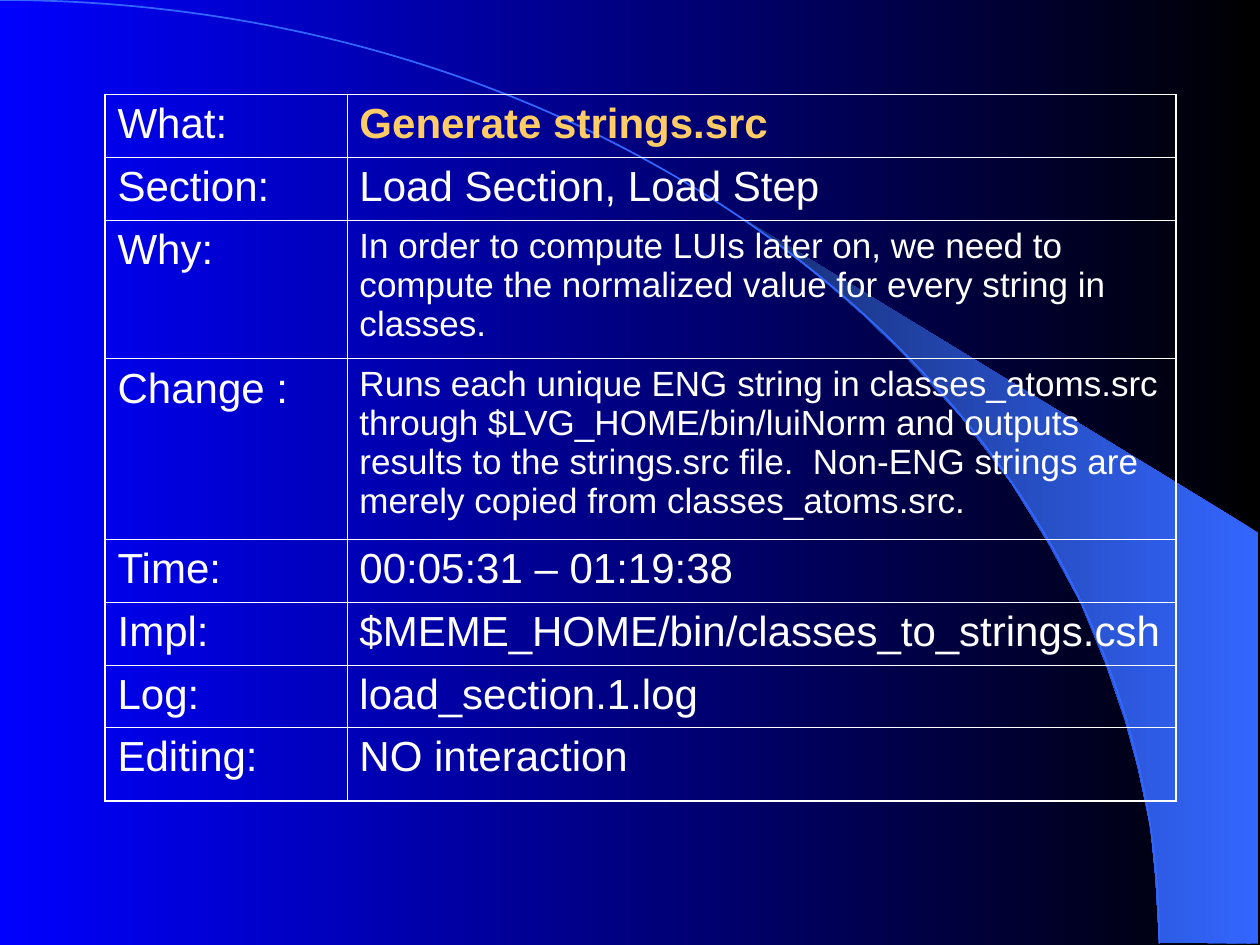
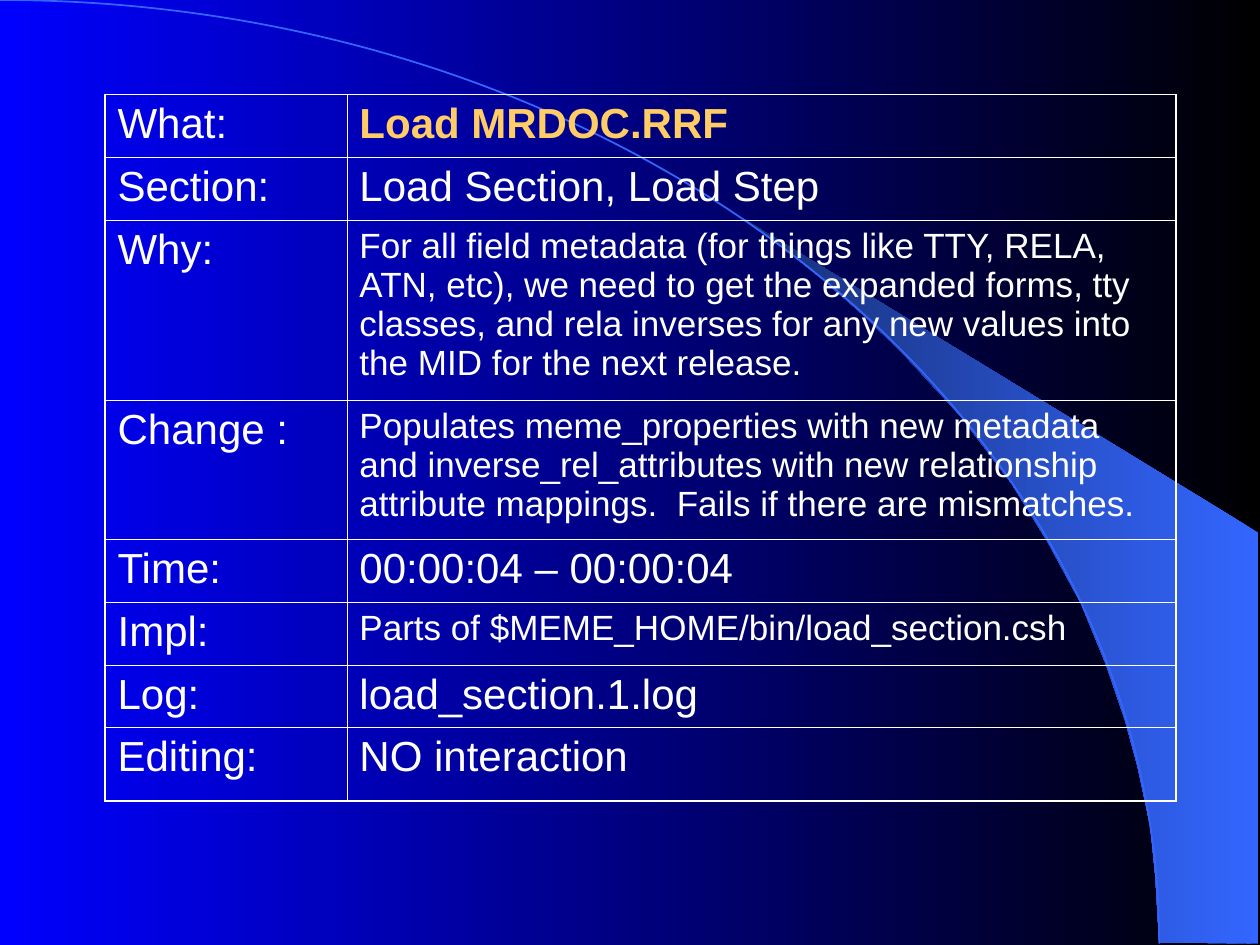
from dataclasses import dataclass

from lxml.etree import SubElement
from pptx import Presentation
from pptx.dml.color import RGBColor
from pptx.dml.fill import FillFormat
from pptx.oxml.ns import qn
from pptx.shapes.autoshape import Shape
from pptx.slide import Slide, SlideMaster
from pptx.table import _Cell
from pptx.util import Pt

Point = tuple[float, float]

COLOURS = {
    "night": "000000",
    "blue": "0000FF",
    "beam": "3366FF",
    "beam_shade": "172F75",
    "text": "FFFFFF",
    "highlight": "FFCC66",
    "border": "FFFFFF",
}
FONT = "Arial"
PAGE_WIDTH, PAGE_HEIGHT = 720, 540
ARC_WIDTH, ARC_HEIGHT = 662.4, 539.28
ARC_CURVE = [(365.76, 0), (ARC_WIDTH, 241.2), (ARC_WIDTH, ARC_HEIGHT)]
BEAM = [
    (662.4, 538.56), (719.28, 539.28), (719.28, 304.56), (424.08, 124.56),
    (449.28, 143.28), (470.16, 159.84), (493.2, 180), (515.52, 201.6),
    (548.64, 237.6), (578.16, 276.48), (599.04, 310.32), (617.76, 344.88),
    (632.16, 380.16), (642.96, 411.84), (650.16, 438.48), (657.36, 472.32),
    (660.24, 501.12),
]
TABLE_LEFT, TABLE_TOP = 60, 54
COLUMN_WIDTHS = (138.24, 473.76)
LABEL_SIZE = 24
DETAIL_SIZE = 20
OUTER_BORDER, INNER_BORDER = 1.08, 0.45
ROW = 35.9
LAST_ROW = 41.76
THREE_LINES = 79.2
FOUR_LINES = 103.2


@dataclass
class Entry:
    label: str
    text: str
    size: int = LABEL_SIZE
    height: float = ROW
    colour: str = "text"
    bold: bool = False


def rgb(name: str) -> RGBColor:
    return RGBColor.from_string(COLOURS[name])


def fill_gradient(fill: FillFormat, right: str, left: str) -> None:
    fill.gradient()
    fill.gradient_angle = 180
    for stop, name in zip(fill.gradient_stops, (right, left)):
        stop.color.rgb = rgb(name)


def outline(page: Slide, points: list[Point]) -> Shape:
    corners = [(Pt(left), Pt(top)) for left, top in points]
    builder = page.shapes.build_freeform(*corners[0])
    builder.add_line_segments(corners[1:], close=True)
    return builder.convert_to_shape()


def draw_arc(page: Slide) -> Shape:
    width, height = 2 * ARC_WIDTH, 2 * ARC_HEIGHT
    shape = outline(page, [(-ARC_WIDTH, 0), (ARC_WIDTH, 0), (ARC_WIDTH, height), (-ARC_WIDTH, height)])
    contours = next(shape.element.iter(qn("a:pathLst")))
    contours.clear()
    size = {"w": str(Pt(width)), "h": str(Pt(height))}
    steps = [("moveTo", [(0, 0)]), ("cubicBezTo", ARC_CURVE)]
    sector = [*steps, ("lnTo", [(0, ARC_HEIGHT)]), ("close", [])]
    for options, commands in (({"stroke": "0"}, sector), ({"fill": "none"}, steps)):
        contour = SubElement(contours, qn("a:path"), **size, **options)
        for command, points in commands:
            segment = SubElement(contour, qn(f"a:{command}"))
            for left, top in points:
                SubElement(segment, qn("a:pt"), x=str(Pt(left + ARC_WIDTH)), y=str(Pt(top)))
    return shape


def decorate_master(master: SlideMaster, page: Slide) -> None:
    fill_gradient(master.background.fill, "night", "blue")

    beam = outline(page, BEAM)
    fill_gradient(beam.fill, "beam", "beam_shade")
    beam.line.fill.background()

    arc = draw_arc(page)
    arc.fill.background()
    arc.line.color.rgb = rgb("beam")
    arc.line.width = Pt(0.99)

    for shape in (beam, arc):
        shape.shadow.inherit = False
        master.shapes.element.append(shape.element)


def set_borders(cell: _Cell, widths: dict[str, float]) -> None:
    properties = cell._tc.get_or_add_tcPr()
    for position, (side, width) in enumerate(widths.items()):
        line = SubElement(properties, qn(f"a:ln{side}"), w=str(Pt(width)))
        fill = SubElement(line, qn("a:solidFill"))
        SubElement(fill, qn("a:srgbClr"), val=COLOURS["border"])
        properties.insert(position, line)


def write_cell(cell: _Cell, text: str, size: int, colour: str, bold: bool) -> None:
    cell.fill.background()
    para = cell.text_frame.paragraphs[0]
    para.space_before = Pt(size / 4)
    span = para.add_run()
    span.text = text
    for name, value in {"name": FONT, "size": Pt(size), "bold": bold}.items():
        setattr(span.font, name, value)
    span.font.color.rgb = rgb(colour)


def draw_table(page: Slide, entries: list[Entry]) -> None:
    width, height = sum(COLUMN_WIDTHS), sum(entry.height for entry in entries)
    frame = page.shapes.add_table(
        len(entries), 2, Pt(TABLE_LEFT), Pt(TABLE_TOP), Pt(width), Pt(height)
    )
    table = frame.table
    for name in ("first_row", "horz_banding"):
        setattr(table, name, False)
    for column, column_width in zip(table.columns, COLUMN_WIDTHS):
        column.width = Pt(column_width)

    last = len(entries) - 1
    for index, entry in enumerate(entries):
        table.rows[index].height = Pt(entry.height)
        label, value = table.cell(index, 0), table.cell(index, 1)
        write_cell(label, entry.label, LABEL_SIZE, "text", False)
        write_cell(value, entry.text, entry.size, entry.colour, entry.bold)
        for cell in (label, value):
            outer = {"L": cell is label, "R": cell is value, "T": index == 0, "B": index == last}
            set_borders(
                cell,
                {side: OUTER_BORDER if edge else INNER_BORDER for side, edge in outer.items()},
            )


def step_entries(what: str, why: Entry, change: Entry, time: str, script: Entry) -> list[Entry]:
    return [
        Entry("What:", what, colour="highlight", bold=True),
        Entry("Section:", "Load Section, Load Step"),
        why,
        change,
        Entry("Time:", time),
        script,
        Entry("Log:", "load_section.1.log"),
        Entry("Editing:", "NO interaction", height=LAST_ROW),
    ]


STEPS = [
    step_entries(
        "Generate strings.src",
        Entry(
            "Why:",
            "In order to compute LUIs later on, we need to compute the normalized value "
            "for every string in classes.",
            DETAIL_SIZE,
            THREE_LINES,
        ),
        Entry(
            "Change :",
            "Runs each unique ENG string in classes_atoms.src through "
            "$LVG_HOME/bin/luiNorm and outputs results to the strings.src file.  "
            "Non-ENG strings are merely copied from classes_atoms.src.",
            DETAIL_SIZE,
            FOUR_LINES,
        ),
        "00:05:31 – 01:19:38",
        Entry("Impl:", "$MEME_HOME/bin/classes_to_strings.csh"),
    ),
    step_entries(
        "Load MRDOC.RRF",
        Entry(
            "Why:",
            "For all field metadata (for things like TTY, RELA, ATN, etc), we need to get "
            "the expanded forms, tty classes, and rela inverses for any new values into "
            "the MID for the next release.",
            DETAIL_SIZE,
            FOUR_LINES,
        ),
        Entry(
            "Change :",
            "Populates meme_properties with new metadata and inverse_rel_attributes with "
            "new relationship attribute mappings.  Fails if there are mismatches.",
            DETAIL_SIZE,
            THREE_LINES,
        ),
        "00:00:04 – 00:00:04",
        Entry("Impl:", "Parts of $MEME_HOME/bin/load_section.csh", DETAIL_SIZE),
    ),
]

deck = Presentation()
deck.slide_width, deck.slide_height = Pt(PAGE_WIDTH), Pt(PAGE_HEIGHT)
blank = deck.slide_layouts.get_by_name("Blank")
pages = [deck.slides.add_slide(blank) for _ in STEPS]
decorate_master(deck.slide_master, pages[0])
for page, entries in zip(pages, STEPS):
    draw_table(page, entries)
deck.save("out.pptx")
